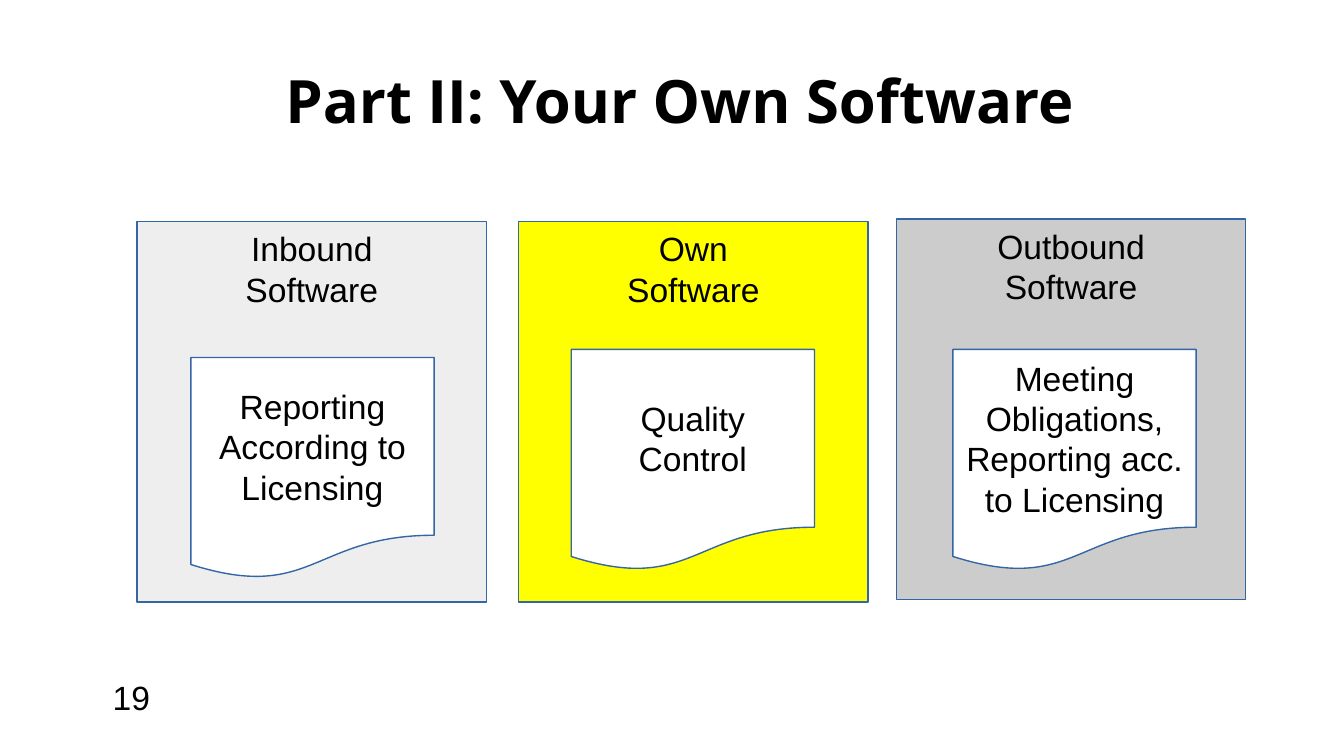
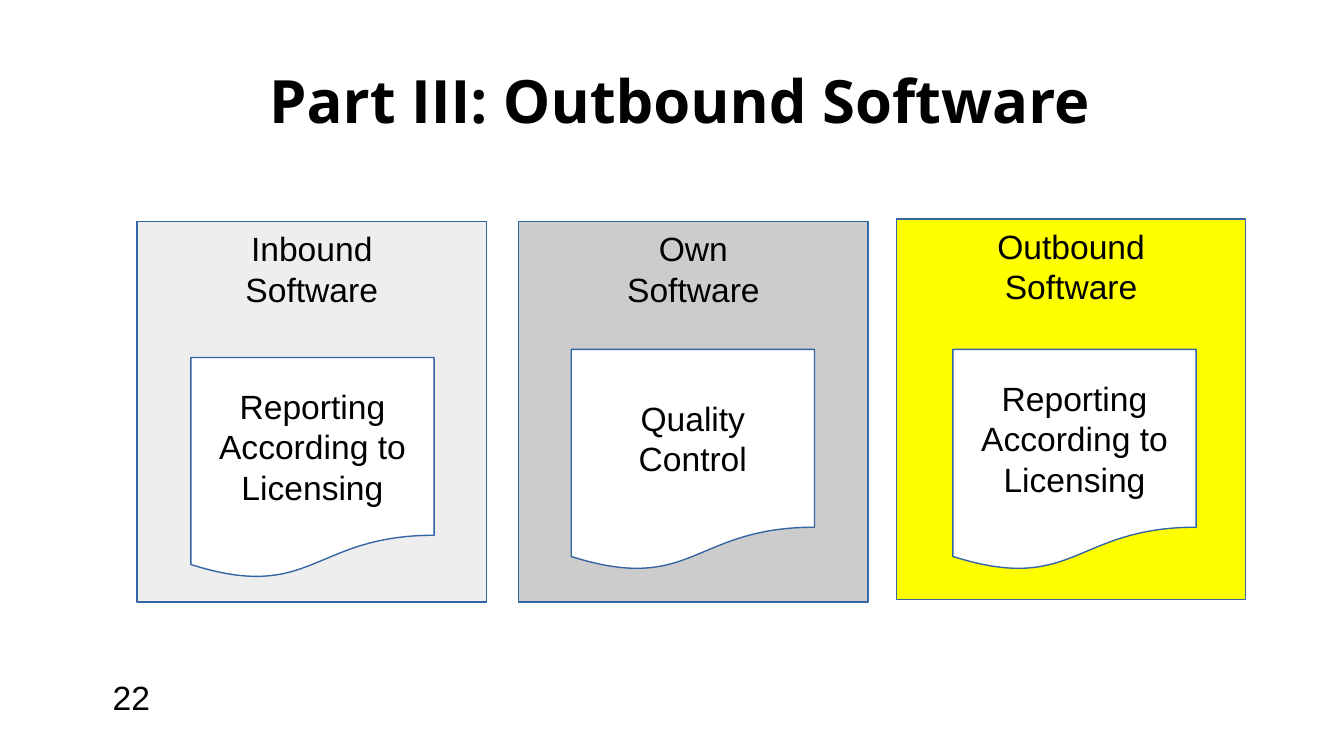
import dataclasses

import pptx
import pptx.dml.color
import pptx.enum.shapes
import pptx.enum.text
import pptx.util

Inches = pptx.util.Inches
SHAPES = pptx.enum.shapes.MSO_SHAPE
ANCHOR = pptx.enum.text.MSO_ANCHOR
ALIGN = pptx.enum.text.PP_ALIGN


@dataclasses.dataclass(frozen=True)
class Theme:
    """Colours, fonts and sizes shared by the slides."""
    ink: str = "000000"
    paper: str = "FFFFFF"
    outline: str = "3465A4"
    light: str = "EEEEEE"
    grey: str = "CCCCCC"
    active: str = "FFFF00"
    title_font: str = "Open Sans"
    body_font: str = "Arial"
    title_size: int = 32
    body_size: int = 18
    line_width: float = 0.75


THEME = Theme()
PANEL_SIZE = (2.6, 2.83)
DOCUMENT_SIZE = (1.81, 1.65)
PANELS = [
    ((1.02, 1.65), ["Inbound", "Software"]),
    ((3.86, 1.65), ["Own", "Software"]),
    ((6.67, 1.63), ["Outbound\nSoftware"]),
]
DOCUMENT_SPOTS = [(1.42, 2.66), (4.25, 2.6), (7.09, 2.6)]
REPORTING = ["Reporting\nAccording to\nLicensing"]
QUALITY = ["Quality\nControl"]
OBLIGATIONS = ["Meeting\nObligations,", "Reporting acc.\nto Licensing"]


def rgb(value):
    """Return the colour for a hex string."""
    return pptx.dml.color.RGBColor.from_string(value)


def write(sp, paragraphs, size=THEME.body_size, font=THEME.body_font, bold=False,
          align=ALIGN.CENTER, anchor=ANCHOR.TOP, insets=(0.1, 0.05), wrap=True):
    """Fill a shape with paragraphs, breaking lines at newlines."""
    tf = sp.text_frame
    tf.word_wrap = wrap
    tf.vertical_anchor = anchor
    tf.margin_left = tf.margin_right = Inches(insets[0])
    tf.margin_top = tf.margin_bottom = Inches(insets[1])
    for i, text in enumerate(paragraphs):
        p = tf.add_paragraph() if i else tf.paragraphs[0]
        p.alignment = align
        for j, line in enumerate(text.split("\n")):
            if j:
                p.add_line_break()
            r = p.add_run()
            r.text = line
            r.font.size = pptx.util.Pt(size)
            r.font.name = font
            r.font.bold = bold
            r.font.color.rgb = rgb(THEME.ink)


def add_box(s, kind, spot, size, fill, paragraphs, **style):
    """Add an outlined, filled shape with text."""
    sp = s.shapes.add_shape(kind, *map(Inches, spot + size))
    sp.shadow.inherit = False
    sp.fill.solid()
    sp.fill.fore_color.rgb = rgb(fill)
    sp.line.color.rgb = rgb(THEME.outline)
    sp.line.width = pptx.util.Pt(THEME.line_width)
    write(sp, paragraphs, **style)


def add_text(s, box, text, **style):
    """Add a one-paragraph text box."""
    write(s.shapes.add_textbox(*map(Inches, box)), [text], **style)


def add_part_slide(prs, number, title, fills, documents):
    """Add a slide showing the three software stages."""
    s = prs.slides.add_slide(prs.slide_layouts[6])
    add_text(s, (0.74, 4.99, 2.33, 0.4), str(number), align=ALIGN.LEFT)
    add_text(s, (0.56, 0.15, 9, 0.86), title, size=THEME.title_size,
             font=THEME.title_font, bold=True, anchor=ANCHOR.BOTTOM, insets=(0, 0))
    for (spot, label), fill in zip(PANELS, fills):
        add_box(s, SHAPES.RECTANGLE, spot, PANEL_SIZE, fill, label)
    for spot, content in reversed(list(zip(DOCUMENT_SPOTS, documents))):
        add_box(s, SHAPES.FLOWCHART_DOCUMENT, spot, DOCUMENT_SIZE, THEME.paper,
                content, anchor=ANCHOR.MIDDLE, wrap=False)


def main():
    """Build and save the presentation."""
    prs = pptx.Presentation()
    prs.slide_width = Inches(10)
    prs.slide_height = prs.slide_width * 9 // 16
    add_part_slide(prs, 19, "Part II: Your Own Software",
                   (THEME.light, THEME.active, THEME.grey),
                   (REPORTING, QUALITY, OBLIGATIONS))
    add_part_slide(prs, 22, "Part III: Outbound Software",
                   (THEME.light, THEME.grey, THEME.active),
                   (REPORTING, QUALITY, REPORTING))
    prs.save("out.pptx")


if __name__ == "__main__":
    main()
